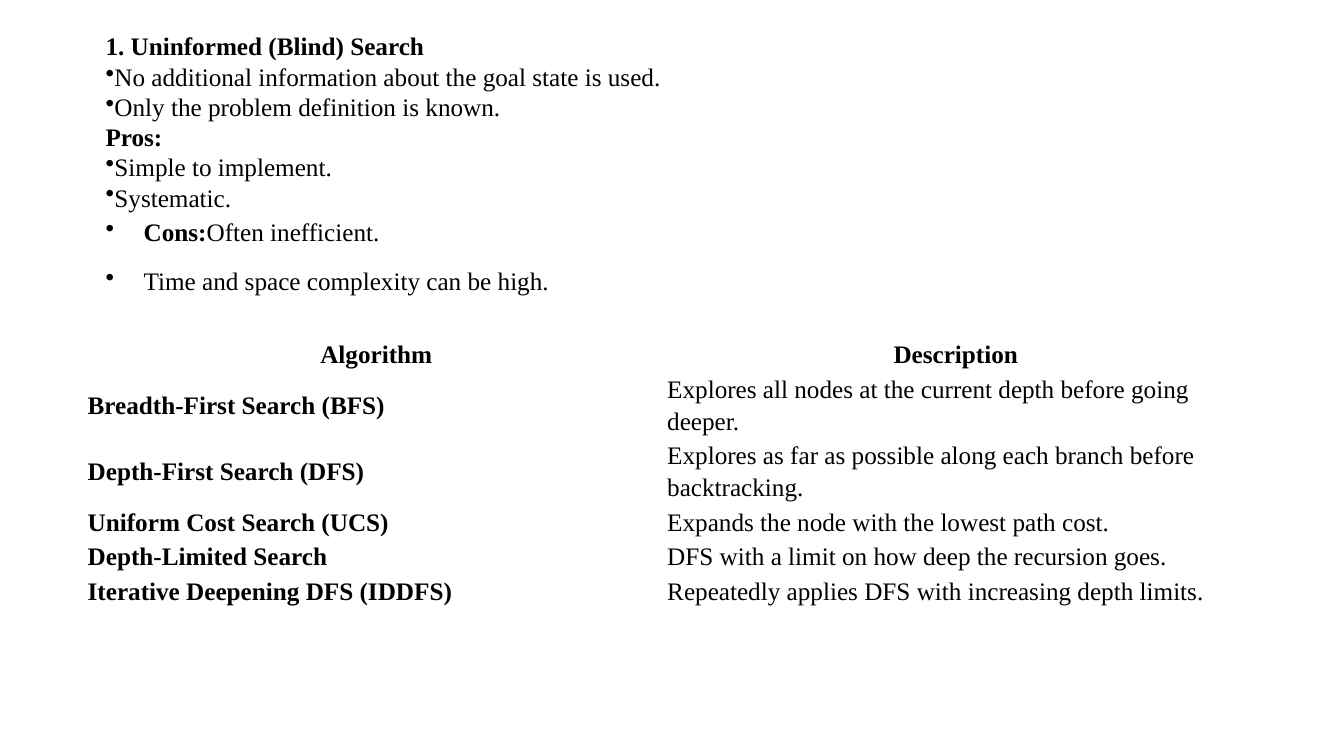
from lxml import etree
from pptx import Presentation
from pptx.dml import color
from pptx.enum import text
from pptx.oxml import ns
from pptx.util import Cm, Pt

FONT = "Times New Roman"
BLACK = "000000"

# Text, whether bold, bullet style
NOTES = [
    ([("1. Uninformed (Blind) Search", True)], None),
    ([("No additional information about the goal state is used.", False)], "tight"),
    ([("Only the problem definition is known.", False)], "tight"),
    ([("Pros:", True)], None),
    ([("Simple to implement.", False)], "tight"),
    ([("Systematic.", False)], "tight"),
    ([("Cons:", True), ("Often inefficient.", False)], "hanging"),
    ([("Time and space complexity can be high.", False)], "hanging"),
]

# Algorithm, description, lines in the row
ALGORITHMS = [
    ("Algorithm", "Description", 1),
    ("Breadth-First Search (BFS)",
     "Explores all nodes at the current depth before going deeper.", 2),
    ("Depth-First Search (DFS)",
     "Explores as far as possible along each branch before backtracking.", 2),
    ("Uniform Cost Search (UCS)", "Expands the node with the lowest path cost.", 1),
    ("Depth-Limited Search", "DFS with a limit on how deep the recursion goes.", 1),
    ("Iterative Deepening DFS (IDDFS)",
     "Repeatedly applies DFS with increasing depth limits.", 1),
]


def rgb(value):
    return color.RGBColor.from_string(value)


def add_span(para, words, bold=False, size=18, ink=BLACK):
    span = para.add_run()
    span.text = words
    span.font.name = FONT
    span.font.size = Pt(size)
    span.font.bold = bold
    span.font.color.rgb = rgb(ink)


def set_bullet(para, indent=0):
    properties = para._p.get_or_add_pPr()
    properties.set("marL", str(Cm(indent)))
    properties.set("indent", str(-Cm(indent)))
    etree.SubElement(properties, ns.qn("a:buChar"), char="•")


def add_notes(page, left, top, width, height):
    box = page.shapes.add_textbox(Cm(left), Cm(top), Cm(width), Cm(height))
    frame = box.text_frame
    frame.word_wrap = True
    frame.vertical_anchor = text.MSO_ANCHOR.TOP
    for index, (spans, bullet) in enumerate(NOTES):
        para = frame.add_paragraph() if index else frame.paragraphs[0]
        for words, bold in spans:
            add_span(para, words, bold=bold)
        if bullet == "hanging":
            para.line_spacing = 1.15
            para.space_after = Pt(10)
            set_bullet(para, indent=0.96)
        elif bullet == "tight":
            set_bullet(para)


def fill_cell(cell, words, bold, align):
    cell.fill.background()
    cell.vertical_anchor = text.MSO_ANCHOR.MIDDLE
    cell.margin_left = cell.margin_right = Cm(0.03)
    cell.margin_top = cell.margin_bottom = Cm(0.03)
    para = cell.text_frame.paragraphs[0]
    para.alignment = align
    para.line_spacing = 1.15
    add_span(para, words, bold=bold)


def add_algorithms(page, left, top, width):
    line, padding = 0.8, 0.07
    heights = [Cm(line * lines + padding) for *_, lines in ALGORITHMS]
    table = page.shapes.add_table(len(ALGORITHMS), 2, Cm(left), Cm(top),
                                  Cm(width), sum(heights)).table
    table.first_row = table.horz_banding = False
    for index, (name, description, _) in enumerate(ALGORITHMS):
        header = index == 0
        align = text.PP_ALIGN.CENTER if header else text.PP_ALIGN.LEFT
        table.rows[index].height = heights[index]
        fill_cell(table.cell(index, 0), name, True, align)
        fill_cell(table.cell(index, 1), description, header, align)


def main():
    deck = Presentation()
    deck.slide_width, deck.slide_height = Cm(33.87), Cm(19.05)
    page = deck.slides.add_slide(deck.slide_layouts[6])

    # Table of algorithms below the notes
    add_algorithms(page, left=2.18, top=8.46, width=29.21)
    add_notes(page, left=2.41, top=0.65, width=19.18, height=7.7)

    deck.save("out.pptx")


if __name__ == "__main__":
    main()
